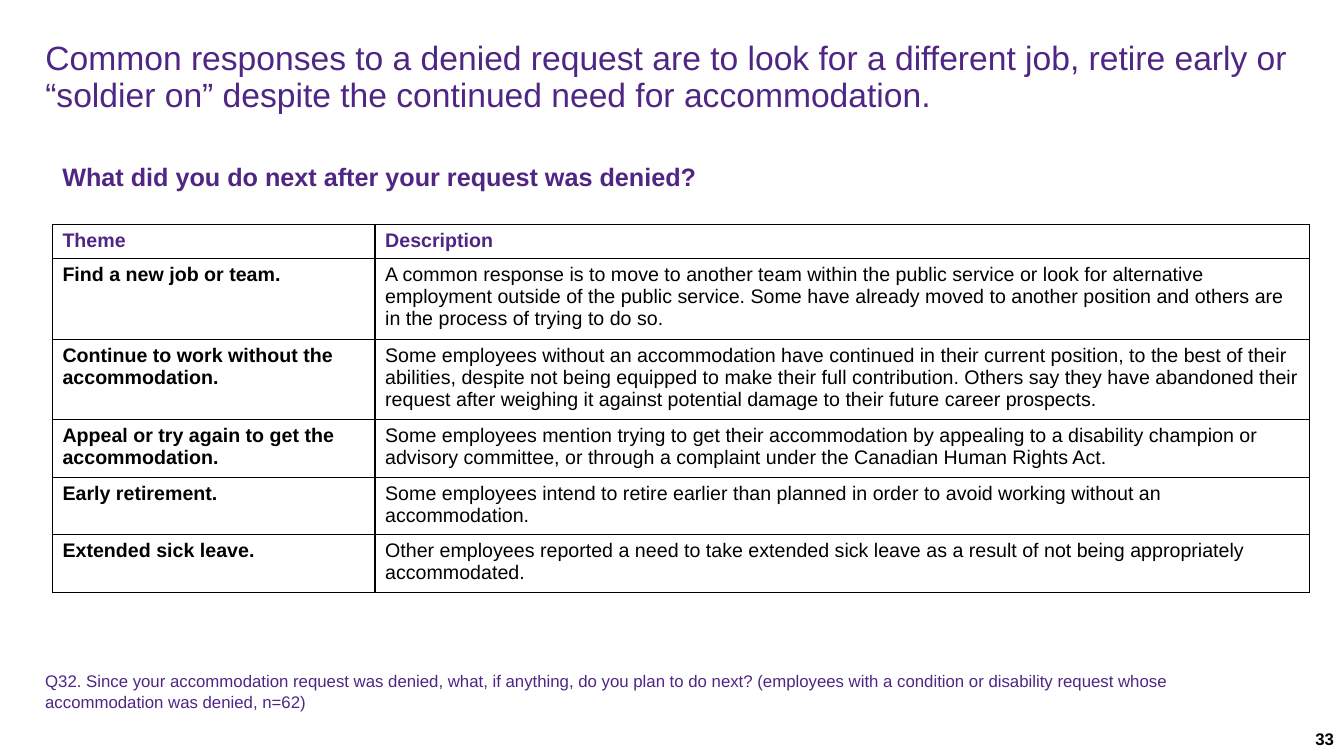
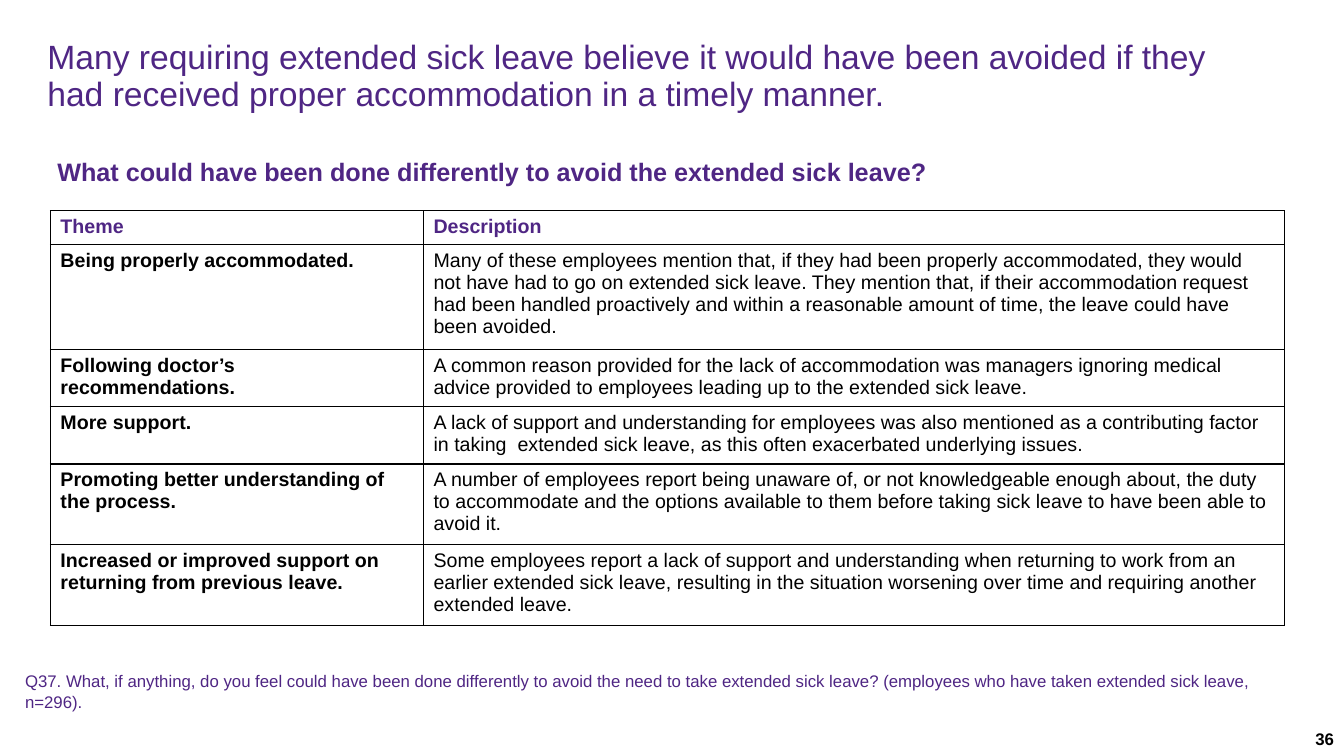
"""Build two slides of survey themes, each with a titled table and a question note."""
from lxml import etree
from pptx import Presentation, util as u
from pptx.dml.color import RGBColor
from pptx.enum import text
from pptx.oxml import ns

PURPLE = RGBColor(0x4F, 0x26, 0x84)
BLACK = RGBColor(0, 0, 0)
WHITE = RGBColor(0xFF, 0xFF, 0xFF)
FONT = "Arial"
PX = 9144
HEADER_HEIGHT = 33
LINE_HEIGHTS = {2: 57, 3: 80, 4: 104}


def px(length):
    return u.Emu(length * PX)


class Deck:
    def __init__(self):
        self.presentation = Presentation()
        self.presentation.slide_width = px(1333)
        self.presentation.slide_height = px(750)
        self.slide = None

    def add_slide(self, number):
        layout = self.presentation.slide_layouts[6]
        self.slide = self.presentation.slides.add_slide(layout)
        self.slide.background.fill.solid()
        self.slide.background.fill.fore_color.rgb = WHITE
        self.text_box(1033, 718, 300, 32, str(number), 12, BLACK, True).alignment = text.PP_ALIGN.RIGHT

    def style(self, paragraph, size, color, bold):
        font = paragraph.font
        font.name = FONT
        font.size = u.Pt(size)
        font.bold = bold
        font.color.rgb = color

    def text_box(self, left, top, width, height, words, size, color=PURPLE, bold=False):
        shape = self.slide.shapes.add_textbox(px(left), px(top), px(width), px(height))
        shape.text_frame.word_wrap = True
        paragraph = shape.text_frame.paragraphs[0]
        paragraph.text = words
        self.style(paragraph, size, color, bold)
        return paragraph

    def title(self, left, top, width, words):
        paragraph = self.text_box(left, top, width, 77, words, 24)
        paragraph.line_spacing = 0.9
        frame = self.slide.shapes[-1].text_frame
        frame.margin_left = frame.margin_right = 0
        frame.margin_top = frame.margin_bottom = px(2)
        frame.vertical_anchor = text.MSO_ANCHOR.MIDDLE

    def heading(self, left, top, words):
        self.text_box(left, top, 1200, 40, words, 18, bold=True)

    def note(self, left, width, words):
        self.text_box(left, 661, width, 50, words, 12)

    def cell(self, cell, words, color, bold):
        cell.text = words
        self.style(cell.text_frame.paragraphs[0], 14, color, bold)
        properties = cell._tc.get_or_add_tcPr()
        for side in ("lnL", "lnR", "lnT", "lnB"):
            line = etree.SubElement(properties, ns.qn(f"a:{side}"), w=str(u.Pt(1)))
            fill = etree.SubElement(line, ns.qn("a:solidFill"))
            etree.SubElement(fill, ns.qn("a:srgbClr"), val=str(BLACK))
        cell.fill.solid()
        cell.fill.fore_color.rgb = WHITE

    def theme_table(self, left, top, widths, themes):
        heights = [HEADER_HEIGHT] + [LINE_HEIGHTS[lines] for lines, _, _ in themes]
        table = self.slide.shapes.add_table(
            len(heights), 2, px(left), px(top), px(sum(widths)), px(sum(heights))).table
        table.first_row = table.horz_banding = False
        for column, width in zip(table.columns, widths):
            column.width = px(width)
        for row, height in zip(table.rows, heights):
            row.height = px(height)
        for column, words in enumerate(("Theme", "Description")):
            self.cell(table.cell(0, column), words, PURPLE, True)
        for row, (_, theme, description) in enumerate(themes, 1):
            self.cell(table.cell(row, 0), theme, BLACK, True)
            self.cell(table.cell(row, 1), description, BLACK, False)


DENIED_THEMES = [
    (3, "Find a new job or team.",
     "A common response is to move to another team within the public service or look for "
     "alternative employment outside of the public service. Some have already moved to another "
     "position and others are in the process of trying to do so."),
    (3, "Continue to work without the accommodation.",
     "Some employees without an accommodation have continued in their current position, to the "
     "best of their abilities, despite not being equipped to make their full contribution. Others "
     "say they have abandoned their request after weighing it against potential damage to their "
     "future career prospects."),
    (2, "Appeal or try again to get the accommodation.",
     "Some employees mention trying to get their accommodation by appealing to a disability "
     "champion or advisory committee, or through a complaint under the Canadian Human Rights Act."),
    (2, "Early retirement.",
     "Some employees intend to retire earlier than planned in order to avoid working without an "
     "accommodation."),
    (2, "Extended sick leave.",
     "Other employees reported a need to take extended sick leave as a result of not being "
     "appropriately accommodated."),
]

LEAVE_THEMES = [
    (4, "Being properly accommodated.",
     "Many of these employees mention that, if they had been properly accommodated, they would "
     "not have had to go on extended sick leave. They mention that, if their accommodation request "
     "had been handled proactively and within a reasonable amount of time, the leave could have "
     "been avoided."),
    (2, "Following doctor’s recommendations.",
     "A common reason provided for the lack of accommodation was managers ignoring medical advice "
     "provided to employees leading up to the extended sick leave."),
    (2, "More support.",
     "A lack of support and understanding for employees was also mentioned as a contributing "
     "factor in taking  extended sick leave, as this often exacerbated underlying issues."),
    (3, "Promoting better understanding of the process.",
     "A number of employees report being unaware of, or not knowledgeable enough about, the duty "
     "to accommodate and the options available to them before taking sick leave to have been able "
     "to avoid it."),
    (3, "Increased or improved support on returning from previous leave.",
     "Some employees report a lack of support and understanding when returning to work from an "
     "earlier extended sick leave, resulting in the situation worsening over time and requiring "
     "another extended leave."),
]


def main():
    deck = Deck()

    deck.add_slide(33)
    deck.title(45, 39, 1254,
               "Common responses to a denied request are to look for a different job, retire early "
               "or “soldier on” despite the continued need for accommodation.")
    deck.heading(52, 155, "What did you do next after your request was denied?")
    deck.theme_table(52, 223, (320, 927), DENIED_THEMES)
    deck.note(35, 1254,
              "Q32. Since your accommodation request was denied, what, if anything, do you plan to "
              "do next? (employees with a condition or disability request whose accommodation was "
              "denied, n=62)")

    deck.add_slide(36)
    deck.title(47, 38, 1192,
               "Many requiring extended sick leave believe it would have been avoided if they had "
               "received proper accommodation in a timely manner.")
    deck.heading(47, 150, "What could have been done differently to avoid the extended sick leave?")
    deck.theme_table(50, 209, (370, 854), LEAVE_THEMES)
    deck.note(15, 1296,
              "Q37. What, if anything, do you feel could have been done differently to avoid the "
              "need to take extended sick leave? (employees who have taken extended sick leave, "
              "n=296).")

    deck.presentation.save("out.pptx")


if __name__ == "__main__":
    main()
